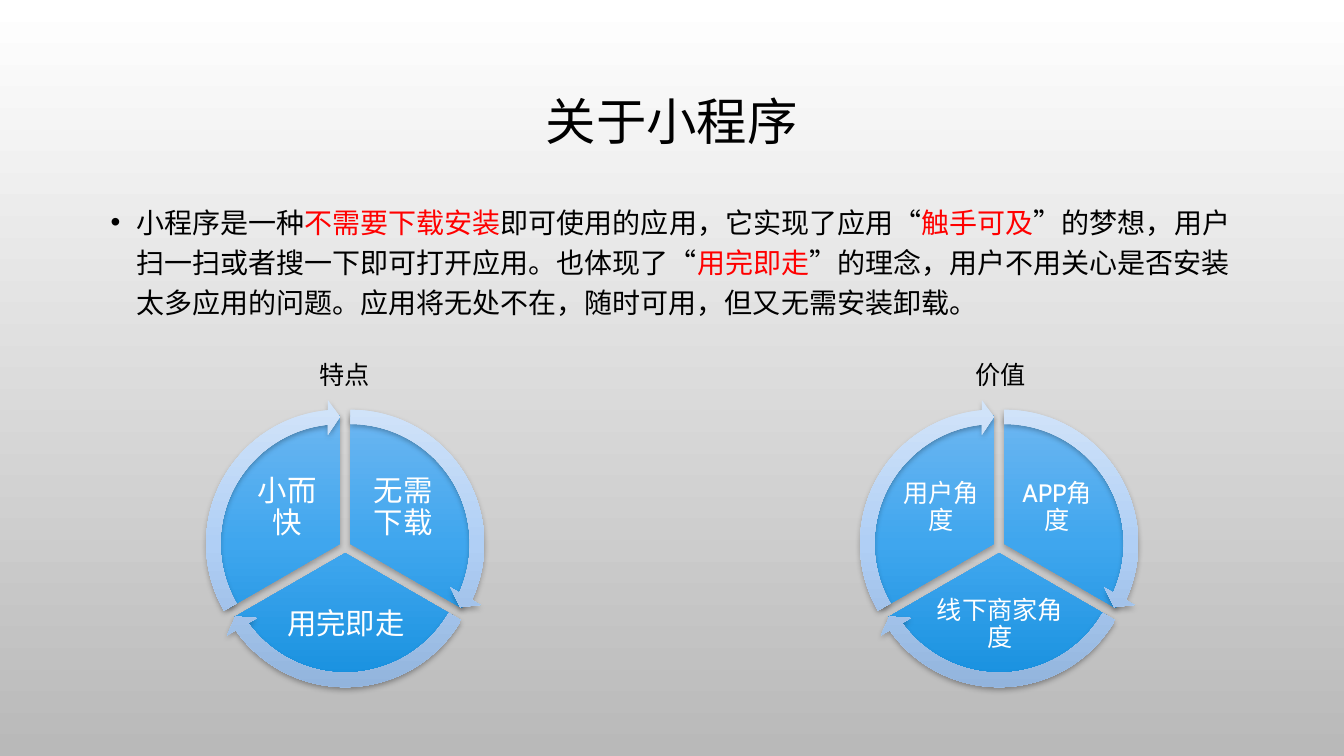
from lxml.etree import SubElement
from pptx import Presentation
from pptx.dml.color import RGBColor
from pptx.enum.shapes import MSO_SHAPE as Shape
from pptx.enum.text import MSO_ANCHOR as Anchor, MSO_AUTO_SIZE as AutoSize, PP_ALIGN as Align
from pptx.oxml.ns import qn
from pptx.util import Cm, Pt

TITLE = "关于小程序"
BODY = [
    ("小程序是一种", "text"),
    ("不需要下载安装", "accent"),
    ("即可使用的应用，它实现了应用“", "text"),
    ("触手可及", "accent"),
    ("”的梦想，用户扫一扫或者搜一下即可打开应用。也体现了“", "text"),
    ("用完即走", "accent"),
    ("”的理念，用户不用关心是否安装太多应用的问题。应用将无处不在，随时可用，但又无需安装卸载。", "text"),
]
WHEELS = [
    {"center": 25.18, "labels": ["APP角度", "线下商家角度", "用户角度"], "size": 18,
     "caption": "价值", "caption_left": 24.33, "caption_width": 3.68, "align": Align.LEFT},
    {"center": 8.7, "labels": ["无需下载", "用完即走", "小而快"], "size": 21,
     "caption": "特点", "caption_left": 6.55, "caption_width": 4.27, "align": Align.CENTER},
]
SECTORS = [
    {"shift": (0.13, 0), "pie": (162, 18), "arrow": (14.73, 161.99),
     "label": (1.46, -0.9, 2.31, 1.93)},
    {"shift": (0, 0.24), "pie": (18, 90), "arrow": (86.72, 18.01),
     "label": (0.02, 2.04, 3.45, 1.7)},
    {"shift": (-0.13, 0), "pie": (90, 162), "arrow": (158.73, 90),
     "label": (-1.46, -0.9, 2.31, 1.93)},
]
WHEEL_MIDDLE = 13.7
PIE_SIZE = 6.48
ARROW_SIZE = 7.26
ARROW_BAND, ARROW_HEAD, ARROW_REACH = 0.05, 3.28, 0.06

THEME = {
    "font": "Cabin",
    "text": "000000",
    "accent": "FF0000",
    "label": "FFFFFF",
    "background": [(0, "FFFFFF"), (100, "B9B9B9")],
    "pie": [(0, "6CB6F1"), (50, "3FA6EE"), (100, "1891DF")],
    "arrow": [(0, "D2E4F9"), (50, "B0CFF5"), (100, "90B2DB")],
    "title_size": 36,
    "body_size": 20,
    "caption_size": 18,
}


def add_color(parent, color):
    return SubElement(parent, qn("a:srgbClr"), val=color)


def paint_gradient(owner, fill, stops):
    fill.gradient()
    fill.gradient_angle = 270
    stop_list = next(owner.element.iter(qn("a:gsLst")))
    for stop in list(stop_list):
        stop_list.remove(stop)
    for position, color in stops:
        add_color(SubElement(stop_list, qn("a:gs"), pos=str(position * 1000)), color)


def add_shadow(shape):
    shape.shadow.inherit = False
    effects = next(shape.element.iter(qn("a:effectLst")))
    shadow = SubElement(effects, qn("a:outerShdw"), blurRad=str(Pt(4)), dist=str(Pt(2)),
                        dir="5400000", rotWithShape="0")
    SubElement(add_color(shadow, "000000"), qn("a:alpha"), val="28000")


def add_text(shapes, box, runs, size, align=Align.LEFT, spacing=None, anchor=Anchor.TOP, inset=None):
    shape = shapes.add_textbox(*map(Cm, box))
    frame = shape.text_frame
    frame.word_wrap = True
    frame.vertical_anchor = anchor
    if inset is not None:
        frame.margin_left = frame.margin_right = Cm(inset)
        frame.margin_top = frame.margin_bottom = Cm(inset)
    paragraph = frame.paragraphs[0]
    paragraph.alignment = align
    paragraph.line_spacing = spacing
    for text, color in runs:
        run = paragraph.add_run()
        run.text = text
        run.font.name = THEME["font"]
        run.font.size = Pt(size)
        run.font.color.rgb = RGBColor.from_string(THEME[color])
    return frame


def add_bullet(paragraph):
    paragraph.space_before = Pt(10)
    properties = paragraph._p.get_or_add_pPr()
    properties.set("marL", str(Cm(0.64)))
    properties.set("indent", str(-Cm(0.64)))
    add_color(SubElement(properties, qn("a:buClr")), THEME["text"])
    SubElement(properties, qn("a:buFont"), typeface="Arial")
    SubElement(properties, qn("a:buChar"), char="•")


def centered(x, y, width, height):
    return x - width / 2, y - height / 2, width, height


def add_round(shapes, kind, center, size, adjustments, stops):
    shape = shapes.add_shape(kind, *map(Cm, centered(*center, size, size)))
    for index, value in enumerate(adjustments):
        shape.adjustments[index] = value
    paint_gradient(shape, shape.fill, stops)
    shape.line.fill.background()
    add_shadow(shape)


def add_wheel(slide, wheel):
    shapes = slide.shapes.add_group_shape().shapes
    centers = [(wheel["center"] + sector["shift"][0], WHEEL_MIDDLE + sector["shift"][1])
               for sector in SECTORS]
    for sector, center, label in zip(SECTORS, centers, wheel["labels"]):
        add_round(shapes, Shape.PIE, center, PIE_SIZE, sector["pie"], THEME["pie"])
        x, y, width, height = sector["label"]
        box = centered(wheel["center"] + x, WHEEL_MIDDLE + y, width, height)
        add_text(shapes, box, [(label, "label")], wheel["size"], Align.CENTER, 0.9, Anchor.MIDDLE, 0.07)
    for sector, center in zip(SECTORS, centers):
        adjustments = (ARROW_BAND, ARROW_HEAD, *sector["arrow"], ARROW_REACH)
        add_round(shapes, Shape.CIRCULAR_ARROW, center, ARROW_SIZE, adjustments, THEME["arrow"])


def main():
    presentation = Presentation()
    presentation.slide_width, presentation.slide_height = Cm(33.87), Cm(19.05)
    slide = presentation.slides.add_slide(presentation.slide_layouts[6])
    paint_gradient(slide, slide.background.fill, THEME["background"])

    title = add_text(slide.shapes, (2.54, 1.73, 28.78, 4.45), [(TITLE, "text")],
                     THEME["title_size"], Align.CENTER, 0.9, Anchor.MIDDLE)
    title.margin_bottom = Cm(1.78)
    body = add_text(slide.shapes, (2.54, 4.88, 28.78, 11.2), BODY, THEME["body_size"], spacing=1.2)
    add_bullet(body.paragraphs[0])

    for wheel in WHEELS:
        add_wheel(slide, wheel)
    for wheel in WHEELS:
        box = (wheel["caption_left"], 8.94, wheel["caption_width"], 1.02)
        caption = add_text(slide.shapes, box, [(wheel["caption"], "text")],
                           THEME["caption_size"], wheel["align"])
        caption.auto_size = AutoSize.SHAPE_TO_FIT_TEXT
    presentation.save("out.pptx")


if __name__ == "__main__":
    main()
